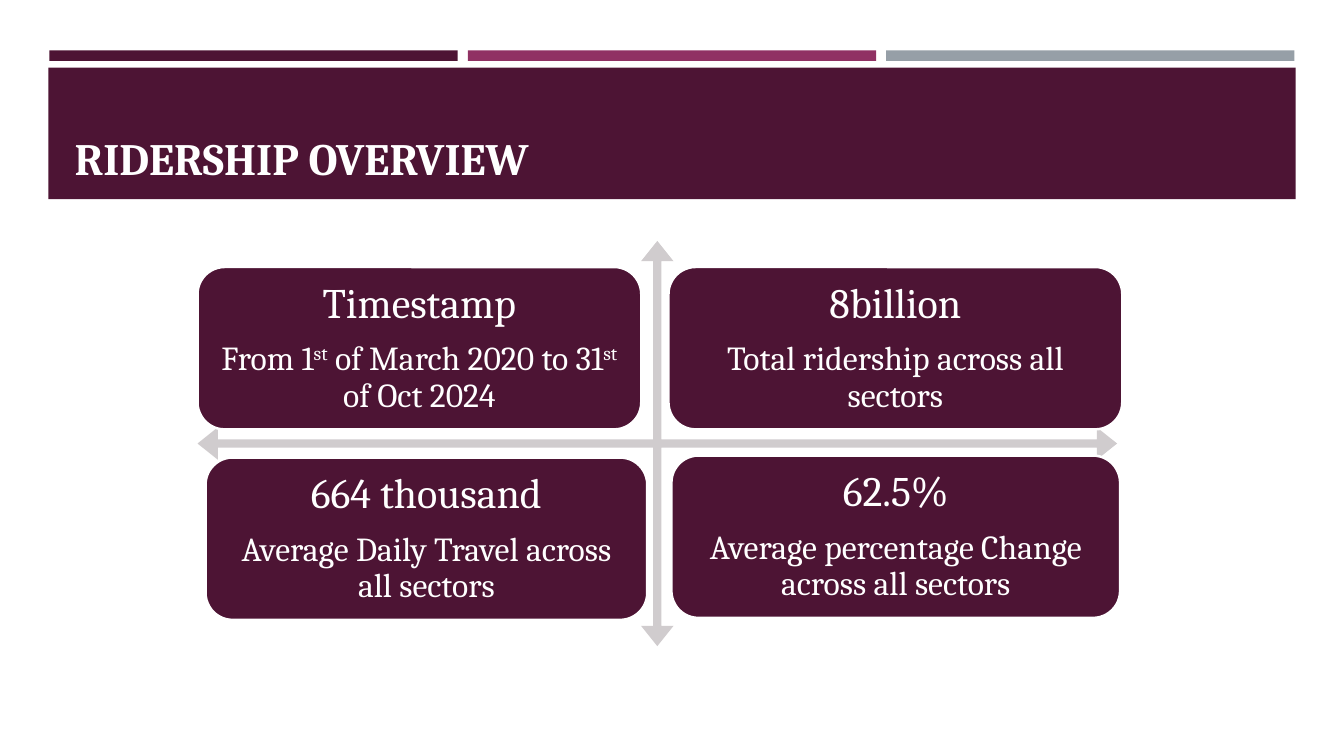
from pptx import Presentation
from pptx.dml.color import RGBColor
from pptx.enum.shapes import MSO_SHAPE as Shape
from pptx.enum.text import MSO_ANCHOR as Anchor, PP_ALIGN as Align, MSO_AUTO_SIZE as Fit
from pptx.util import Inches, Pt

PLUM, ROSE, SLATE, GREY, WHITE = "4D1434", "903163", "969FA7", "D0CCCE", "FFFFFF"


def paint(target, color):
    target.rgb = RGBColor.from_string(color)


class Deck:
    """Holds the style and the current slide; lengths are percent of its size."""
    font = "Cambria"

    def __init__(self):
        self.prs = Presentation()
        self.prs.slide_width, self.prs.slide_height = Inches(13.33), Inches(7.5)
        self.slide = self.prs.slides.add_slide(self.prs.slide_layouts[5])

    def place(self, left, top, width, height):
        wide, high = self.prs.slide_width, self.prs.slide_height
        return [round(share * side / 100) for share, side in
                ((left, wide), (top, high), (width, wide), (height, high))]

    def shape(self, kind, area, color):
        item = self.slide.shapes.add_shape(kind, *self.place(*area))
        item.shadow.inherit = False
        item.fill.solid()
        paint(item.fill.fore_color, color)
        item.line.fill.background()
        return item

    def style(self, para, size, bold=False):
        para.font.name, para.font.size, para.font.bold = self.font, Pt(size), bold
        paint(para.font.color, WHITE)

    def title(self, text, area):
        item = self.slide.shapes.title
        item.left, item.top, item.width, item.height = self.place(*area)
        frame = item.text_frame
        frame.text = text
        frame.auto_size, frame.vertical_anchor = Fit.NONE, Anchor.BOTTOM
        para = frame.paragraphs[0]
        para.alignment = Align.LEFT
        self.style(para, 32, True)
        # Bring the title in front of its band
        item.element.getparent().append(item.element)

    def card(self, area, head, body):
        """Draw a rounded card; odd parts of body, split at ^, are raised."""
        item = self.shape(Shape.ROUNDED_RECTANGLE, area, PLUM)
        paint(item.line.color, WHITE)
        item.line.width = Pt(1.75)
        frame = item.text_frame
        frame.word_wrap, frame.vertical_anchor = True, Anchor.MIDDLE
        frame.margin_left = frame.margin_right = Inches(0.12)
        frame.margin_top = frame.margin_bottom = Inches(0.12)
        first, second = frame.paragraphs[0], frame.add_paragraph()
        first.text = head
        first.space_after = Pt(10.5)
        for i, part in enumerate(body.split("^")):
            run = second.add_run()
            run.text = part
            if i % 2:
                run.font._element.set("baseline", "30000")
        for para, size in ((first, 30), (second, 24)):
            para.alignment, para.line_spacing = Align.CENTER, 0.9
            self.style(para, size)

    def cross(self, area, *ratios):
        item = self.shape(Shape.QUAD_ARROW, area, GREY)
        for i, ratio in enumerate(ratios):
            item.adjustments[i] = ratio


def main():
    deck = Deck()
    for i, color in enumerate((PLUM, ROSE, SLATE)):
        deck.shape(Shape.RECTANGLE, (3.68 + 31.13 * i, 6.67, 30.38, 1.4), color)
    deck.shape(Shape.RECTANGLE, (3.6, 8.93, 92.8, 17.4), PLUM)
    deck.title("RIDERSHIP OVERVIEW", (4.8, 10.27, 90.47, 14.8))
    deck.cross((14.7, 31.87, 68.42, 53.6), 0.02, 0.04, 0.05)
    cards = (
        (14.7, 35.33, 33.01, "Timestamp", "From 1^st^ of March 2020 to 31^st^ of Oct 2024"),
        (49.74, 35.33, 33.76, "8billion", "Total ridership across all sectors"),
        (15.3, 60.53, 32.86, "664 thousand", "Average Daily Travel across all sectors"),
        (49.96, 60.27, 33.38, "62.5%", "Average percentage Change across all sectors"),
    )
    for left, top, width, head, body in cards:
        deck.card((left, top, width, 21.47), head, body)
    deck.prs.save("out.pptx")


if __name__ == "__main__":
    main()
